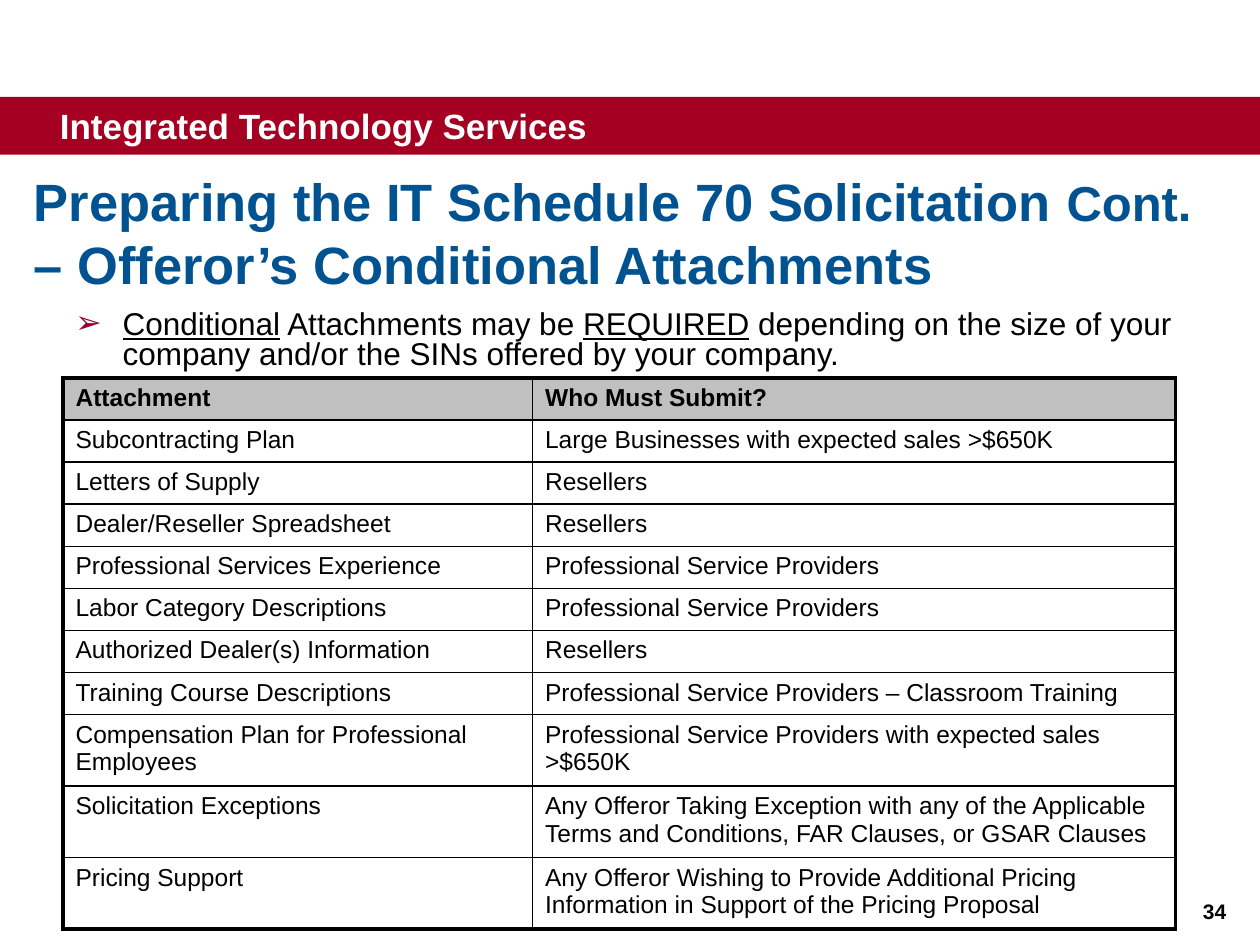
from dataclasses import dataclass

from lxml.etree import SubElement
from pptx import Presentation
from pptx.dml.color import RGBColor as Rgb
from pptx.enum.shapes import MSO_SHAPE as Shape
from pptx.enum.text import MSO_ANCHOR as Anchor, MSO_AUTO_SIZE as AutoSize, PP_ALIGN as Align
from pptx.oxml.ns import qn
from pptx.util import Pt


@dataclass(frozen=True)
class Theme:
    font: str = "Arial"
    red: str = "A50021"
    bullet: str = "990033"
    blue: str = "005390"
    black: str = "000000"
    white: str = "FFFFFF"
    header: str = "C0C0C0"
    title_size: int = 30
    suffix_size: int = 28
    banner_size: int = 20
    body_size: int = 18
    table_size: int = 14
    number_size: int = 12
    outer_line: float = 2.25
    inner_line: float = 1


THEME = Theme()
BANNER = "Integrated Technology Services"
TITLE = [
    ("Preparing the IT Schedule 70 Solicitation ", THEME.title_size),
    ("Cont.", THEME.suffix_size),
    (" \v– Offeror’s Conditional Attachments", THEME.title_size),
]
INTRO = [
    ("Conditional", True),
    (" Attachments may be ", False),
    ("REQUIRED", True),
    (" depending on the size of your company and/or the SINs offered by your company.", False),
]
ATTACHMENTS = [
    ("Attachment", "Who Must Submit?"),
    ("Subcontracting Plan", "Large Businesses with expected sales >$650K"),
    ("Letters of Supply", "Resellers"),
    ("Dealer/Reseller Spreadsheet", "Resellers"),
    ("Professional Services Experience", "Professional Service Providers"),
    ("Labor Category Descriptions", "Professional Service Providers"),
    ("Authorized Dealer(s) Information", "Resellers"),
    ("Training Course Descriptions", "Professional Service Providers – Classroom Training"),
    ("Compensation Plan for Professional Employees",
     "Professional Service Providers with expected sales >$650K"),
    ("Solicitation Exceptions",
     "Any Offeror Taking Exception with any of the Applicable Terms and Conditions, "
     "FAR Clauses, or GSAR Clauses"),
    ("Pricing Support",
     "Any Offeror Wishing to Provide Additional Pricing Information in Support of "
     "the Pricing Proposal"),
]
PAGE_NUMBER = "34"

COLUMN_WIDTHS = (268.3, 367.5)
SHORT_ROW, TALL_ROW, TALL_COUNT = 23.9, 40.6, 3


def points(*lengths):
    return [Pt(length) for length in lengths]


def style(font, size, color, bold=False):
    font.name, font.size, font.bold = THEME.font, Pt(size), bold
    font.color.rgb = Rgb.from_string(color)


def add_banner(page):
    bar = page.shapes.add_shape(Shape.RECTANGLE, *points(0, 55.4, 720, 33))
    bar.shadow.inherit = False
    bar.fill.solid()
    bar.fill.fore_color.rgb = Rgb.from_string(THEME.red)
    bar.line.fill.background()
    frame = bar.text_frame
    frame.word_wrap = False
    frame.vertical_anchor = Anchor.MIDDLE
    frame.margin_left = Pt(34.2)
    para = frame.paragraphs[0]
    para.text, para.alignment = BANNER, Align.LEFT
    style(para.font, THEME.banner_size, THEME.white, bold=True)


def fill_title(page):
    title = page.shapes.title
    title.left, title.top, title.width, title.height = points(12.2, 80.6, 690.5, 104.4)
    frame = title.text_frame
    frame.auto_size, frame.word_wrap = AutoSize.NONE, True
    frame.vertical_anchor = Anchor.MIDDLE
    frame.margin_top = frame.margin_bottom = Pt(14.4)
    para = frame.paragraphs[0]
    para.alignment = Align.LEFT
    for text, size in TITLE:
        before, *after = text.split("\v")
        for position, part in enumerate([before, *after]):
            if position:
                para.add_line_break()
            span = para.add_run()
            span.text = part
            style(span.font, size, THEME.blue, bold=True)


def add_intro(page):
    box = page.shapes.add_textbox(*points(36, 174.2, 654.5, 41.8))
    box.text_frame.word_wrap = True
    para = box.text_frame.paragraphs[0]
    para.line_spacing = 0.8
    para.space_before = Pt(0.2 * THEME.body_size)
    style(para.font, THEME.body_size, THEME.black)
    for text, underlined in INTRO:
        span = para.add_run()
        span.text, span.font.underline = text, underlined
    add_bullet(para, "➢", 27)


def add_bullet(para, symbol, indent):
    props = para._p.get_or_add_pPr()
    props.set("marL", str(Pt(indent)))
    props.set("indent", str(-Pt(indent)))
    bullet = SubElement(props, qn("a:buClr"))
    SubElement(bullet, qn("a:srgbClr"), val=THEME.bullet)
    SubElement(props, qn("a:buFont"), typeface=THEME.font)
    SubElement(props, qn("a:buChar"), char=symbol)
    defaults = props.find(qn("a:defRPr"))
    if defaults is not None:
        props.append(defaults)


def add_borders(cell, outer_sides):
    """Draw all four borders, heavier on the sides at the table's edge."""
    props = cell._tc.get_or_add_tcPr()
    for side in "LRTB":
        width = THEME.outer_line if side in outer_sides else THEME.inner_line
        line = SubElement(props, qn(f"a:ln{side}"), w=str(Pt(width)))
        fill = SubElement(line, qn("a:solidFill"))
        SubElement(fill, qn("a:srgbClr"), val=THEME.black)


def add_attachments(page):
    last_row, last_column = len(ATTACHMENTS) - 1, len(COLUMN_WIDTHS) - 1
    heights = [SHORT_ROW] * (len(ATTACHMENTS) - TALL_COUNT) + [TALL_ROW] * TALL_COUNT
    table = page.shapes.add_table(
        len(heights), len(COLUMN_WIDTHS),
        *points(36, 216, sum(COLUMN_WIDTHS), sum(heights))).table
    table.first_row = table.horz_banding = False
    for column, width in zip(table.columns, COLUMN_WIDTHS):
        column.width = Pt(width)
    for row, height in zip(table.rows, heights):
        row.height = Pt(height)
    for r, texts in enumerate(ATTACHMENTS):
        for c, text in enumerate(texts):
            cell = table.cell(r, c)
            edges = {"T": r == 0, "B": r == last_row, "L": c == 0, "R": c == last_column}
            add_borders(cell, [side for side, outer in edges.items() if outer])
            if r == 0:
                cell.fill.solid()
                cell.fill.fore_color.rgb = Rgb.from_string(THEME.header)
            else:
                cell.fill.background()
            para = cell.text_frame.paragraphs[0]
            para.text = text
            para.space_before = Pt(0.2 * THEME.table_size)
            style(para.font, THEME.table_size, THEME.black, bold=r == 0)


def add_page_number(page):
    box = page.shapes.add_textbox(*points(558, 509.8, 149.8, 20.2))
    box.text_frame.word_wrap = True
    para = box.text_frame.paragraphs[0]
    para.text, para.alignment = PAGE_NUMBER, Align.RIGHT
    style(para.font, THEME.number_size, THEME.black, bold=True)


def main():
    deck = Presentation()
    deck.slide_width, deck.slide_height = points(720, 540)
    page = deck.slides.add_slide(deck.slide_layouts[5])
    for add_part in (add_banner, fill_title, add_intro, add_attachments, add_page_number):
        add_part(page)
    deck.save("out.pptx")


if __name__ == "__main__":
    main()
